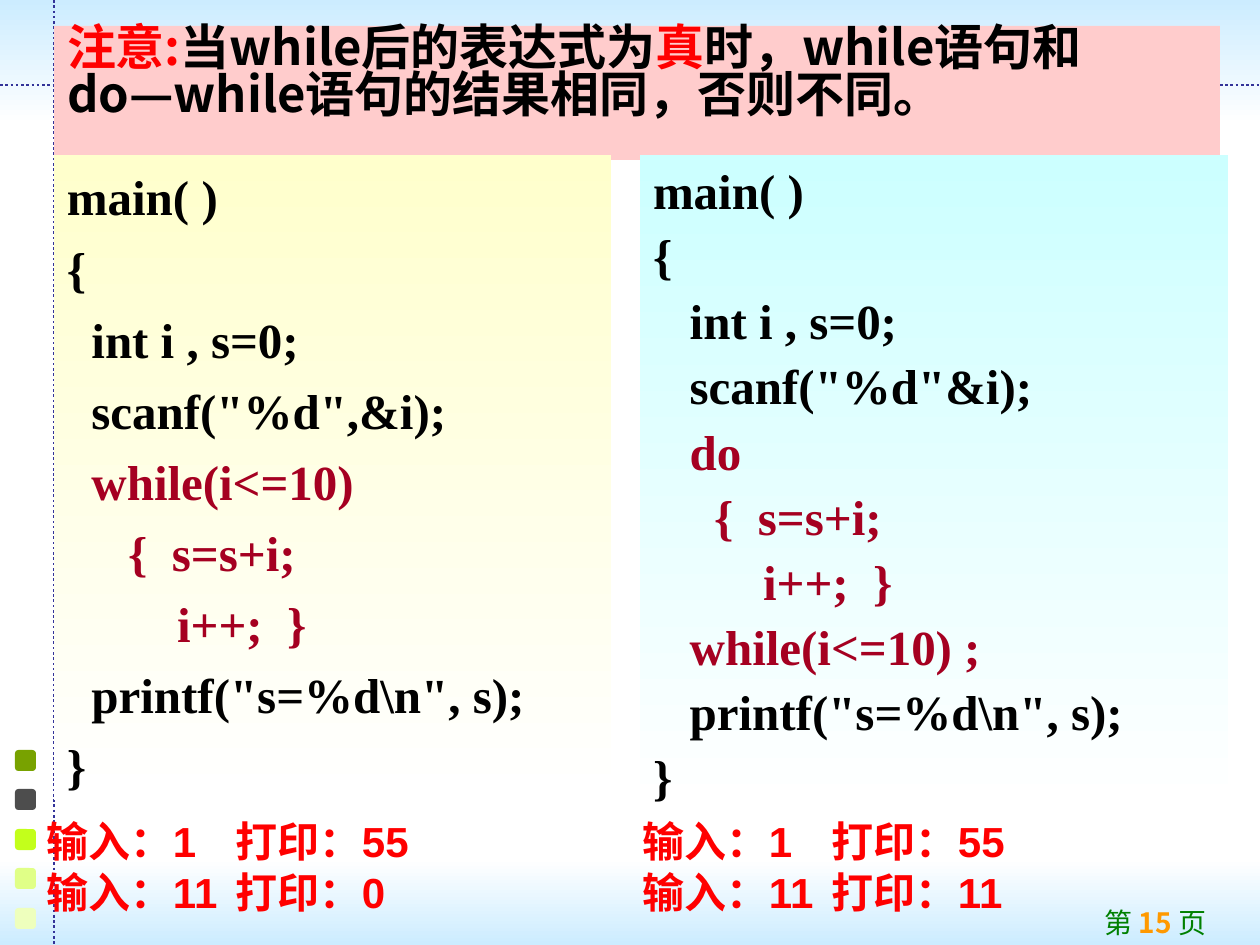
from dataclasses import dataclass

from lxml.etree import SubElement
from pptx import Presentation
from pptx.dml.color import RGBColor
from pptx.enum.dml import MSO_LINE
from pptx.enum.shapes import MSO_CONNECTOR, MSO_SHAPE
from pptx.enum.text import MSO_ANCHOR, MSO_AUTO_SIZE, PP_ALIGN
from pptx.oxml.ns import qn
from pptx.util import Emu, Pt


@dataclass(frozen=True)
class Theme:
    white: str = "FFFFFF"
    black: str = "000000"
    red: str = "FF0000"
    loop: str = "A50021"
    sky: str = "CCECFF"
    guide: str = "333399"
    note: str = "FFCCCC"
    cream: str = "FFFFCC"
    aqua: str = "CCFFFF"
    page: str = "008000"
    number: str = "FF9900"
    markers: tuple = ("78A200", "4D4D4D", "C3FF1B", "E0FF87", "EEFFBD")
    chinese: str = "Noto Sans CJK SC"
    code: str = "Times New Roman"
    results: str = "Arial"
    large: int = 28
    medium: int = 24
    small: int = 16


def px(length):
    return Emu(round(length * 914400 / 126))


def rgb(color):
    return RGBColor.from_string(color)


def add_run(paragraph, text, *, size, font, color, bold=True, east=Theme.chinese):
    run = paragraph.add_run()
    run.text = text
    run.font.size = Pt(size)
    run.font.bold = bold
    run.font.color.rgb = rgb(color)
    run.font.name = font
    SubElement(run.font._element, qn("a:ea"), typeface=east)


class SlideBuilder:
    def __init__(self, slide, theme):
        self.slide = slide
        self.theme = theme

    def panel(self, box, colors, kind=MSO_SHAPE.RECTANGLE):
        panel = self.slide.shapes.add_shape(kind, *map(px, box))
        panel.shadow.inherit = False
        panel.line.fill.background()
        if len(colors) == 1:
            panel.fill.solid()
            panel.fill.fore_color.rgb = rgb(colors[0])
        else:
            panel.fill.gradient()
            panel.fill.gradient_angle = 270
            for stop, color in zip(panel.fill.gradient_stops, colors):
                stop.color.rgb = rgb(color)
        return panel

    def guide(self, x1, y1, x2, y2):
        guide = self.slide.shapes.add_connector(
            MSO_CONNECTOR.STRAIGHT, *map(px, (x1, y1, x2, y2)))
        guide.line.color.rgb = rgb(self.theme.guide)
        guide.line.width = Pt(1.5)
        guide.line.dash_style = MSO_LINE.ROUND_DOT
        SubElement(guide._element.spPr, qn("a:effectLst"))

    def fill_text(self, frame, lines, *, align=PP_ALIGN.LEFT, spacing=1.0, gap=0,
                  top=6, tab=None, **style):
        frame.word_wrap = True
        frame.vertical_anchor = MSO_ANCHOR.TOP
        frame.margin_left = frame.margin_right = px(13)
        frame.margin_top, frame.margin_bottom = px(top), px(6)
        for index, line in enumerate(lines):
            paragraph = frame.add_paragraph() if index else frame.paragraphs[0]
            properties = paragraph._p.get_or_add_pPr()
            properties.set("marL", "0")
            properties.set("indent", "0")
            SubElement(properties, qn("a:buNone"))
            if tab:
                stops = SubElement(properties, qn("a:tabLst"))
                SubElement(stops, qn("a:tab"), pos=str(px(tab)), algn="l")
            paragraph.alignment = align
            paragraph.line_spacing = spacing
            paragraph.space_before = Pt(gap if index else 0)
            for text, changes in line:
                add_run(paragraph, text, **{**style, **changes})

    def note(self, box, lines):
        note = self.slide.placeholders[1]
        note.left, note.top, note.width, note.height = map(px, box)
        note.fill.solid()
        note.fill.fore_color.rgb = rgb(self.theme.note)
        note.text_frame.auto_size = MSO_AUTO_SIZE.NONE
        self.fill_text(note.text_frame, lines, spacing=0.8, top=2, size=self.theme.large,
                       font=self.theme.chinese, color=self.theme.black)

    def code(self, box, tint, source, loop_lines, spacing):
        listing = self.panel(box, (tint, self.theme.white))
        lines = [[(line, {"color": self.theme.loop} if number in loop_lines else {})]
                 for number, line in enumerate(source.strip().splitlines(), 1)]
        self.fill_text(listing.text_frame, lines, spacing=spacing, gap=7, top=12,
                       size=self.theme.large, font=self.theme.code, color=self.theme.black)

    def text(self, box, lines, grow=False, **style):
        frame = self.slide.shapes.add_textbox(*map(px, box)).text_frame
        self.fill_text(frame, lines, **style)
        if grow:
            frame.auto_size = MSO_AUTO_SIZE.SHAPE_TO_FIT_TEXT

    def results(self, left, tab, rows):
        lines = [[(f"输入：{entered}\t打印：{printed}", {})] for entered, printed in rows]
        self.text((left, 810, 586, 113), lines, grow=True, tab=tab, size=self.theme.medium,
                  font=self.theme.results, color=self.theme.red)


WHILE_CODE = r"""
main( )
{
  int i , s=0;
  scanf("%d",&i);
  while(i<=10)
     {  s=s+i;
         i++;  }
  printf("s=%d\n", s);
}
"""

DO_WHILE_CODE = r"""
main( )
{
   int i , s=0;
   scanf("%d"&i);
   do
     {  s=s+i;
         i++;  }
   while(i<=10) ;
   printf("s=%d\n", s);
}
"""


def main():
    theme = Theme()
    deck = Presentation()
    deck.slide_width, deck.slide_height = px(1260), px(945)
    slide = deck.slides.add_slide(deck.slide_layouts[1])
    heading = slide.shapes.title._element
    heading.getparent().remove(heading)
    note = slide.placeholders[1]._element
    builder = SlideBuilder(slide, theme)

    builder.panel((0, 0, 1260, 125), (theme.sky, theme.white))
    builder.panel((0, 859, 1260, 86), (theme.white, theme.sky))
    builder.guide(0, 85, 1260, 85)
    for index, color in enumerate(theme.markers):
        builder.panel((15, 750 + index * 79 // 2, 21, 21), (color,),
                      MSO_SHAPE.ROUNDED_RECTANGLE)
    builder.guide(54, 0, 54, 945)
    slide.shapes._spTree.append(note)

    red = {"color": theme.red}
    builder.note((54, 26, 1166, 134), [
        [("注意:", red), ("当while后的表达式为", {}), ("真", red), ("时，while语句和", {})],
        [("do—while语句的结果相同，否则不同。", {})],
    ])
    builder.code((54, 155, 557, 645), theme.cream, WHILE_CODE, range(5, 8), 1.0)
    builder.code((640, 155, 588, 655), theme.aqua, DO_WHILE_CODE, range(5, 9), 0.9)
    builder.results(34, 287, [(1, 55), (11, 0)])
    builder.results(630, 216, [(1, 55), (11, 11)])
    builder.text((888, 900, 331, 45),
                 [[("第 ", {}), ("15 ", {"color": theme.number, "bold": True}), ("页", {})]],
                 align=PP_ALIGN.RIGHT, size=theme.small, font=theme.chinese,
                 color=theme.page, bold=False)
    deck.save("out.pptx")


if __name__ == "__main__":
    main()
